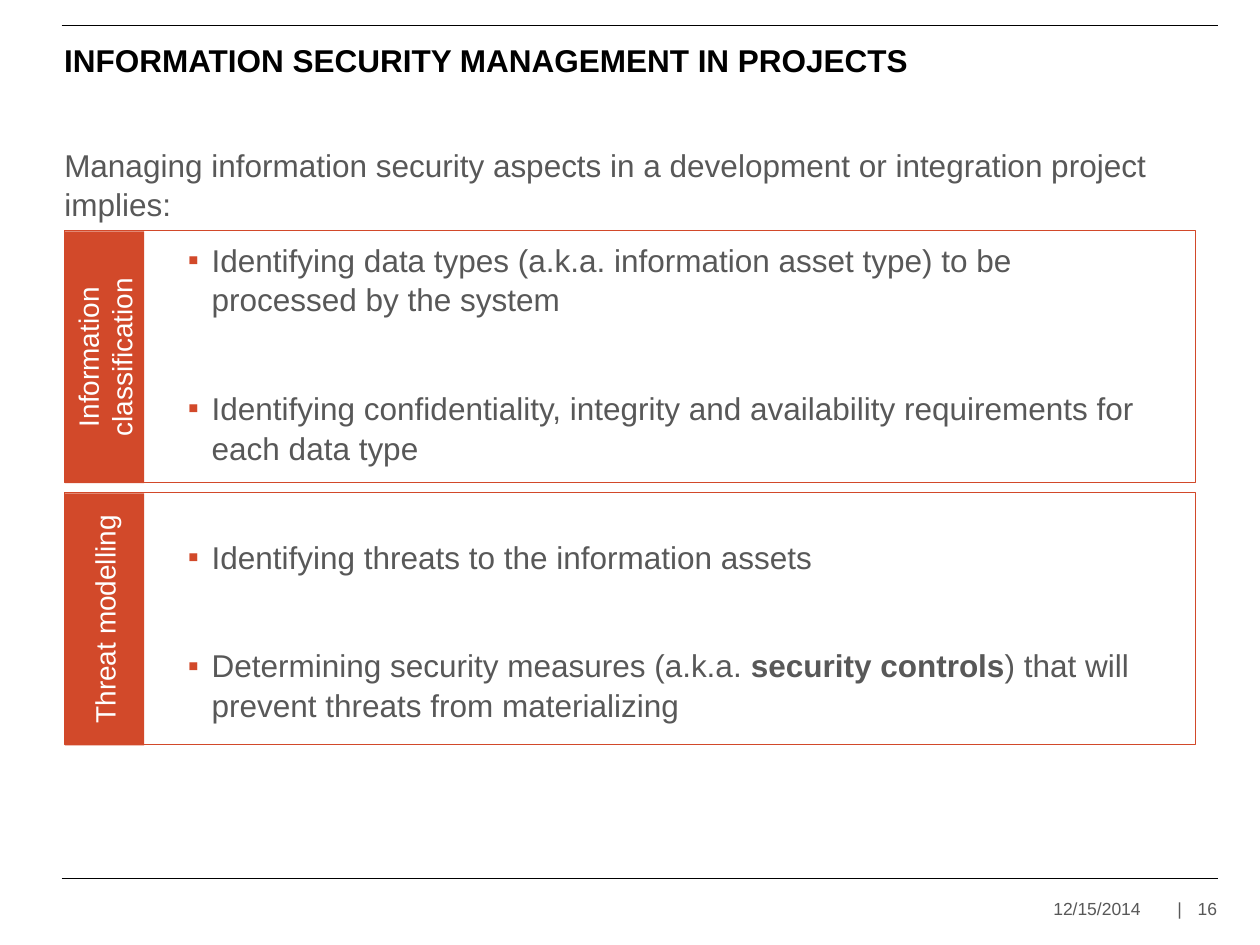
from lxml import etree
from pptx import Presentation
from pptx import util as u
from pptx.dml.color import RGBColor
from pptx.enum import shapes, text
from pptx.oxml.ns import qn

PX = 9144
RED, GREY, BLACK, WHITE = "D2492A", "585858", "000000", "FFFFFF"
MID = text.MSO_ANCHOR.MIDDLE


def paint(part, color):
    if hasattr(part, "solid"):
        part.solid()
        part.fore_color.rgb = RGBColor.from_string(color)
    else:
        part.color.rgb = RGBColor.from_string(color)


def write(para, words, size, color, bold=False):
    run = para.add_run()
    run.text = words
    run.font.name = "Arial"
    run.font.size = u.Pt(size)
    run.font.bold = bold
    paint(run.font, color)


deck = Presentation()
deck.slide_width, deck.slide_height = 1000 * PX, 750 * PX
slide = deck.slides.add_slide(deck.slide_layouts[6])
items = slide.shapes

for y in (697, 20):
    rule = items.add_connector(shapes.MSO_CONNECTOR.STRAIGHT, 49 * PX, y * PX, 967 * PX, y * PX)
    rule.line.width = u.Pt(0.5)
    paint(rule.line, BLACK)
    etree.SubElement(rule._element.spPr, qn("a:effectLst"))

frames = []
for x, y, w, h, pads, wrap, anchor in (
    (836, 709, 102, 24, (0, 4, 0, 4), False, MID),
    (938, 709, 28, 24, (4, 4, 0, 4), False, MID),
    (47, 30, 917, 35, (4, 0, 4, 0), False, MID),
    (47, 110, 878, 575, (4, 4, 4, 4), True, text.MSO_ANCHOR.TOP),
):
    frame = items.add_textbox(x * PX, y * PX, w * PX, h * PX).text_frame
    frame.margin_left, frame.margin_top, frame.margin_right, frame.margin_bottom = [p * PX for p in pads]
    frame.word_wrap = wrap
    frame.vertical_anchor = anchor
    frames.append(frame)
date, page, title, body = frames

para = date.paragraphs[0]
write(para, "12/15/2014\t |", 10, GREY)
tabs = etree.SubElement(para._p.get_or_add_pPr(), qn("a:tabLst"))
for stop, side in ((51, "ctr"), (102, "r")):
    etree.SubElement(tabs, qn("a:tab"), pos=str(stop * PX), algn=side)

para = page.paragraphs[0]
para.alignment = text.PP_ALIGN.RIGHT
write(para, "16", 10, GREY)

write(title.paragraphs[0], "INFORMATION SECURITY MANAGEMENT IN PROJECTS", 18, BLACK, True)

para = body.paragraphs[0]
para.line_spacing = 1.05
write(para, "Managing information security aspects in a development or integration project implies:", 18, GREY)

points = (
    ("Identifying data types (a.k.a. information asset type) to be processed by the system",),
    ("Identifying confidentiality, integrity and availability requirements for each data type",),
    ("Identifying threats to the information assets",),
    ("Determining security measures (a.k.a. ", "security controls", ") that will prevent threats from materializing"),
)
for n, point in enumerate(points):
    para = body.add_paragraph()
    para.level = 1
    para.line_spacing = 1.05
    para.space_before = u.Pt(39.5 if n else 9)
    props = para._p.get_or_add_pPr()
    props.set("marL", str(117 * PX))
    props.set("indent", str(-19 * PX))
    tint = etree.SubElement(props, qn("a:buClr"))
    etree.SubElement(tint, qn("a:srgbClr"), val=RED)
    etree.SubElement(props, qn("a:buFont"), typeface="Arial")
    etree.SubElement(props, qn("a:buChar"), char="▪")
    for k, words in enumerate(point):
        write(para, words, 18, GREY, k == 1)

RECT = shapes.MSO_SHAPE.RECTANGLE
for n, name in enumerate(("Information classification", "Threat modelling")):
    top = 183 + 208 * n
    label = items.add_shape(RECT, -17 * PX, (top + 69) * PX, 200 * PX, 63 * PX)
    label.rotation = 270
    label.shadow.inherit = False
    paint(label.fill, RED)
    label.line.fill.background()
    label.text_frame.word_wrap = True
    label.text_frame.vertical_anchor = MID
    para = label.text_frame.paragraphs[0]
    para.alignment = text.PP_ALIGN.CENTER
    write(para, name, 16, WHITE)

    box = items.add_shape(RECT, 51 * PX, top * PX, 898 * PX, 200 * PX)
    box.shadow.inherit = False
    box.fill.background()
    box.line.width = u.Pt(0.25)
    paint(box.line, RED)

deck.save("out.pptx")
